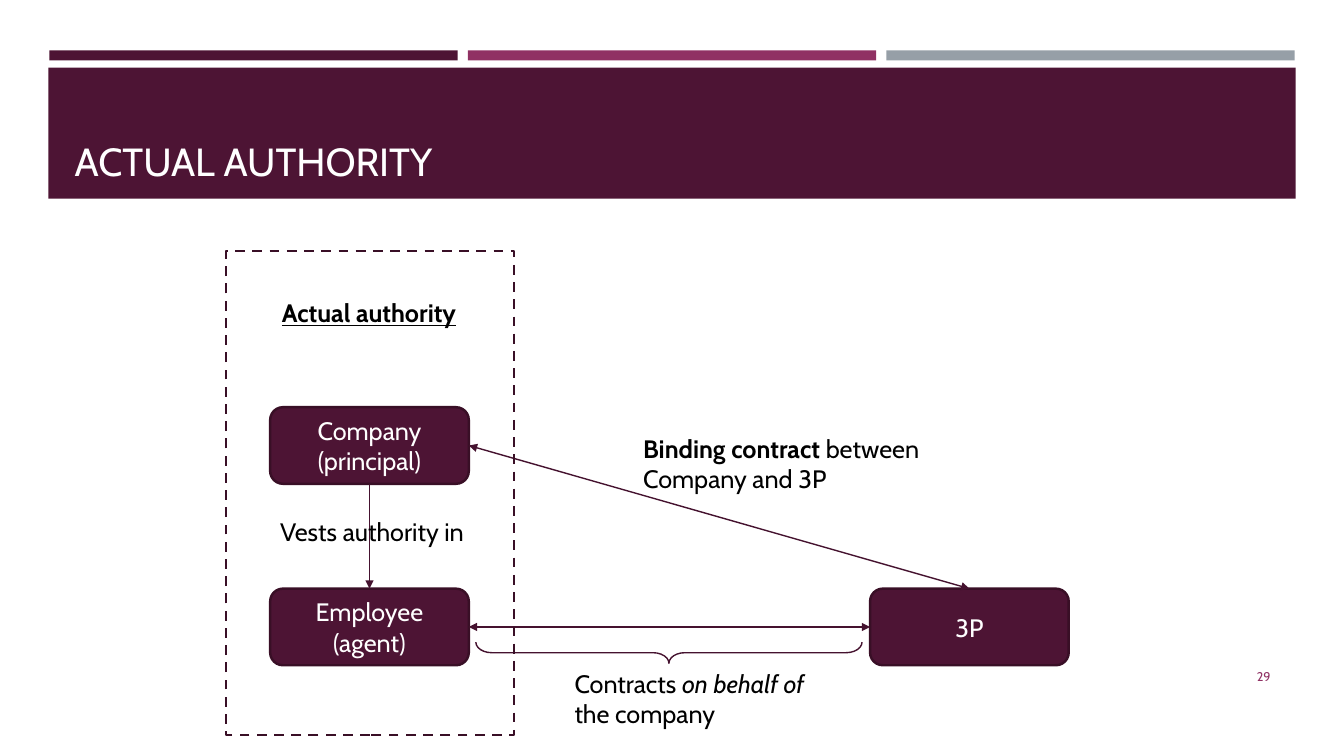
import pptx
import pptx.util
import pptx.dml.color
import pptx.enum.dml
import pptx.enum.shapes
import pptx.enum.text
import pptx.oxml
from dataclasses import dataclass
from pptx.util import Inches

SHAPE = pptx.enum.shapes.MSO_SHAPE
ALIGN = pptx.enum.text.PP_ALIGN
ANCHOR = pptx.enum.text.MSO_ANCHOR
DASH = pptx.enum.dml.MSO_LINE.DASH
DRAWING_NS = "http://schemas.openxmlformats.org/drawingml/2006/main"


@dataclass(frozen=True)
class Theme:
    font: str = "Cabin"
    plum: str = "4D1434"
    magenta: str = "903163"
    grey: str = "969FA7"
    border: str = "390F26"
    connector: str = "45122F"
    white: str = "FFFFFF"
    black: str = "000000"
    title_size: int = 28
    body_size: int = 18
    number_size: int = 9
    border_width: float = 1.75
    connector_width: float = 1


class AuthoritySlide:
    def __init__(self, deck, theme):
        self.theme = theme
        self.page = deck.slides.add_slide(deck.slide_layouts[5])

    def color(self, value):
        return pptx.dml.color.RGBColor.from_string(value)

    def set_text(self, shape, spans, size, color, align=ALIGN.LEFT, anchor=ANCHOR.TOP):
        """Fill a shape with one paragraph of (text, style names) spans."""
        frame = shape.text_frame
        frame.word_wrap = True
        frame.vertical_anchor = anchor
        para = frame.paragraphs[0]
        para.alignment = align
        for text, *styles in spans:
            span = para.add_run()
            span.text = text
            span.font.name = self.theme.font
            span.font.size = pptx.util.Pt(size)
            span.font.color.rgb = self.color(color)
            span.font.bold = "bold" in styles
            span.font.italic = "italic" in styles
            span.font.underline = "underline" in styles

    def outline(self, shape, color, width):
        shape.line.color.rgb = self.color(color)
        shape.line.width = pptx.util.Pt(width)

    def shape(self, kind, left, top, width, height, fill=None):
        shape = self.page.shapes.add_shape(
            kind, Inches(left), Inches(top), Inches(width), Inches(height))
        shape.shadow.inherit = False
        shape.line.fill.background()
        if fill:
            shape.fill.solid()
            shape.fill.fore_color.rgb = self.color(fill)
        else:
            shape.fill.background()
        return shape

    def title(self, text, left, top, width, height):
        title = self.page.shapes.title
        title.left, title.top = Inches(left), Inches(top)
        title.width, title.height = Inches(width), Inches(height)
        self.set_text(title, [(text,)], self.theme.title_size, self.theme.white,
                      anchor=ANCHOR.BOTTOM)

    def band(self, left, top, width, height, fill):
        """Draw a decorative bar behind the title."""
        band = self.shape(SHAPE.RECTANGLE, left, top, width, height, fill)
        self.page.shapes.title.element.addprevious(band.element)

    def label(self, spans, left, top, width, height, size=None, color=None, **layout):
        box = self.page.shapes.add_textbox(
            Inches(left), Inches(top), Inches(width), Inches(height))
        self.set_text(box, spans, size or self.theme.body_size,
                      color or self.theme.black, **layout)

    def party(self, text, left, top, width, height):
        box = self.shape(SHAPE.ROUNDED_RECTANGLE, left, top, width, height, self.theme.plum)
        self.outline(box, self.theme.border, self.theme.border_width)
        self.set_text(box, [(text,)], self.theme.body_size, self.theme.white,
                      ALIGN.CENTER, ANCHOR.MIDDLE)

    def frame(self, left, top, width, height):
        frame = self.shape(SHAPE.RECTANGLE, left, top, width, height)
        self.outline(frame, self.theme.border, self.theme.border_width)
        frame.line.dash_style = DASH

    def brace(self, left, top, width, height):
        """Draw a brace that opens upwards; the lengths are those before rotation."""
        brace = self.shape(SHAPE.LEFT_BRACE, left, top, width, height)
        brace.rotation = 270
        brace.adjustments[0] = 0.75
        self.outline(brace, self.theme.connector, self.theme.connector_width)

    def arrow(self, start, end, ends=("headEnd", "tailEnd")):
        arrow = self.page.shapes.add_connector(
            pptx.enum.shapes.MSO_CONNECTOR.STRAIGHT,
            *(Inches(value) for value in start + end))
        self.outline(arrow, self.theme.connector, self.theme.connector_width)
        properties = arrow.element.spPr
        line = properties.find(f"{{{DRAWING_NS}}}ln")
        for name in ends:
            line.append(pptx.oxml.parse_xml(
                f'<a:{name} xmlns:a="{DRAWING_NS}" type="triangle"/>'))
        properties.append(pptx.oxml.parse_xml(
            f'<a:effectLst xmlns:a="{DRAWING_NS}"/>'))


def main():
    deck = pptx.Presentation()
    deck.slide_width, deck.slide_height = Inches(13.33), Inches(7.5)
    theme = Theme()
    slide = AuthoritySlide(deck, theme)

    # Header bars, title and page number
    for column, fill in enumerate((theme.plum, theme.magenta, theme.grey)):
        slide.band(0.49 + 4.15 * column, 0.5, 4.05, 0.1, fill)
    slide.band(0.48, 0.67, 12.37, 1.3, theme.plum)
    slide.title("ACTUAL AUTHORITY", 0.64, 0.77, 12.06, 1.11)
    slide.label([("29",)], 11.55, 6.51, 1.15, 0.4, theme.number_size, theme.magenta,
                align=ALIGN.RIGHT, anchor=ANCHOR.MIDDLE)

    # Parties
    party_width, party_height = 1.97, 0.76
    agent_left, third_left = 2.68, 8.63
    company_top, agent_top = 4.04, 5.84
    for text, left, top in (("Company (principal)", agent_left, company_top),
                            ("Employee (agent)", agent_left, agent_top),
                            ("3P", third_left, agent_top)):
        slide.party(text, left, top, party_width, party_height)

    # Relations between the parties
    agent_middle = agent_left + party_width / 2
    agent_right = agent_left + party_width
    company_center = company_top + party_height / 2
    agent_center = agent_top + party_height / 2
    slide.arrow((agent_middle, company_top + party_height),
                (agent_middle, agent_top), ends=("tailEnd",))
    slide.arrow((agent_right, company_center),
                (third_left + party_width / 2, agent_top))
    slide.arrow((agent_right, agent_center), (third_left, agent_center))
    slide.brace(6.53, 4.56, 0.21, 3.83)

    # Frame and labels
    slide.frame(2.24, 2.49, 2.86, 4.8)
    slide.label([("Actual authority", "bold", "underline")], 2.37, 2.84, 2.58, 0.52,
                align=ALIGN.CENTER, anchor=ANCHOR.MIDDLE)
    slide.label([("Vests authority in",)], 2.68, 5.07, 3.25, 0.4)
    slide.label([("Binding contract ", "bold"), ("between Company and 3P",)],
                6.28, 4.25, 3.25, 0.71)
    slide.label([("Contracts ",), ("on behalf of ", "italic"), ("the company",)],
                5.6, 6.58, 2.57, 0.71)

    deck.save("out.pptx")


if __name__ == "__main__":
    main()
